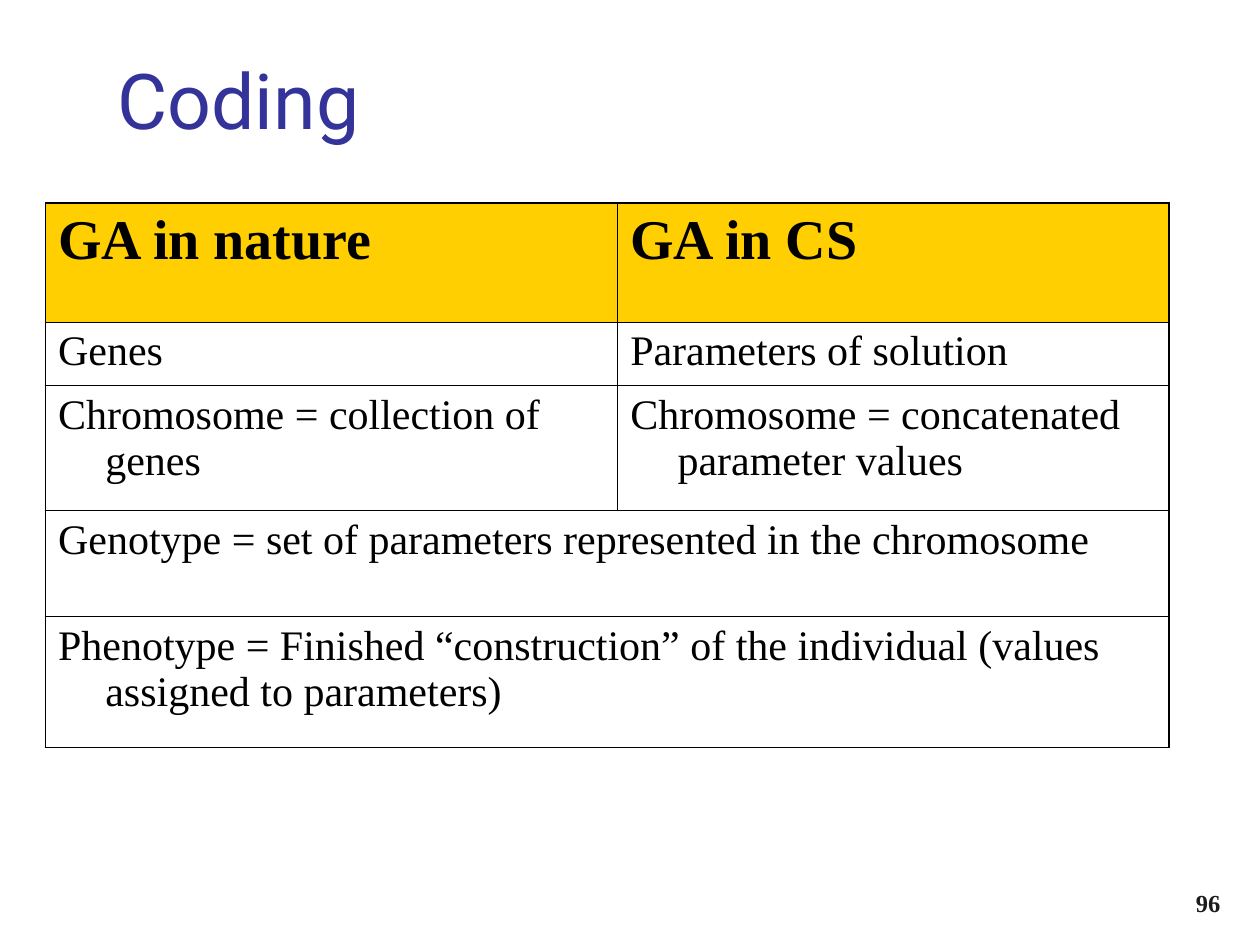
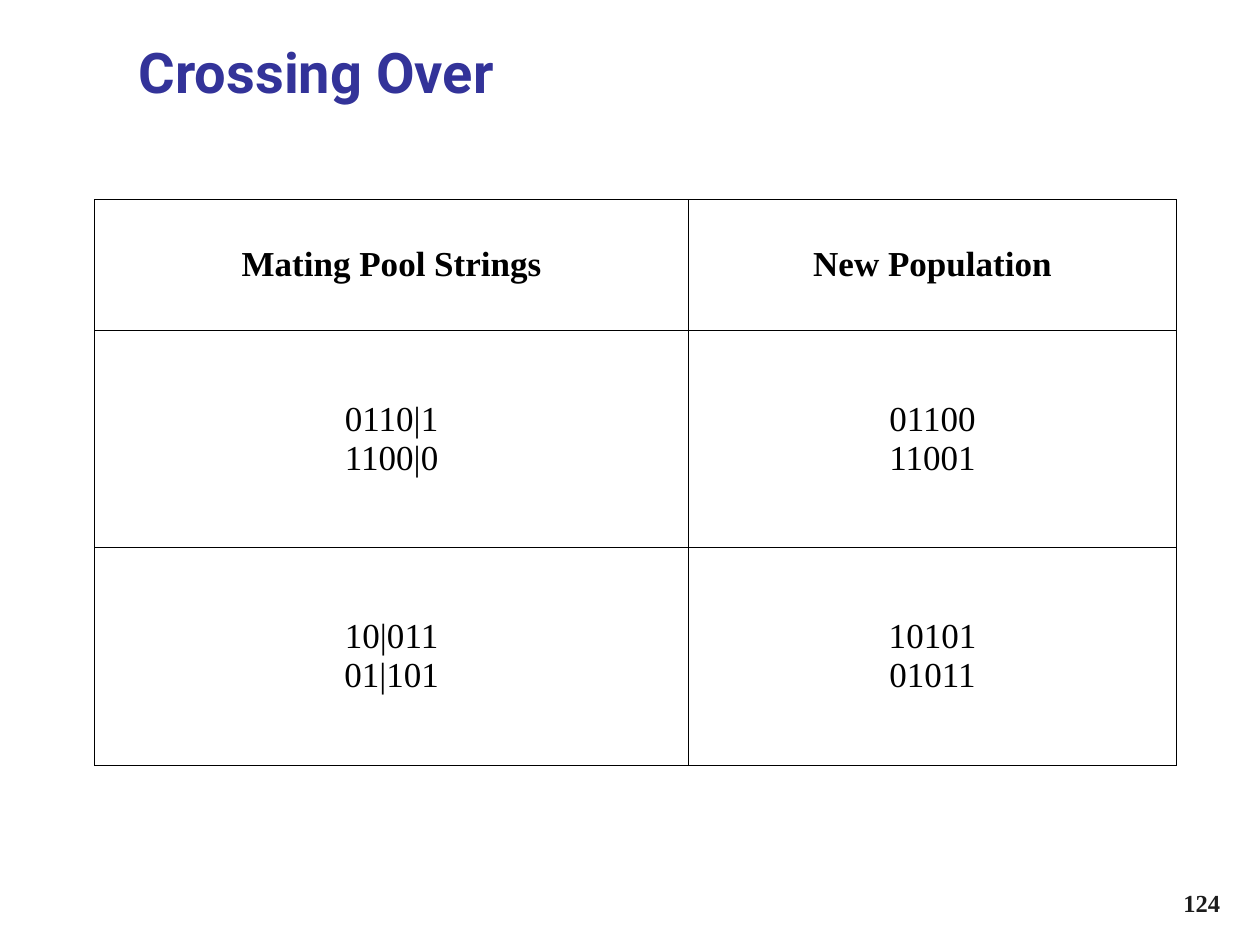
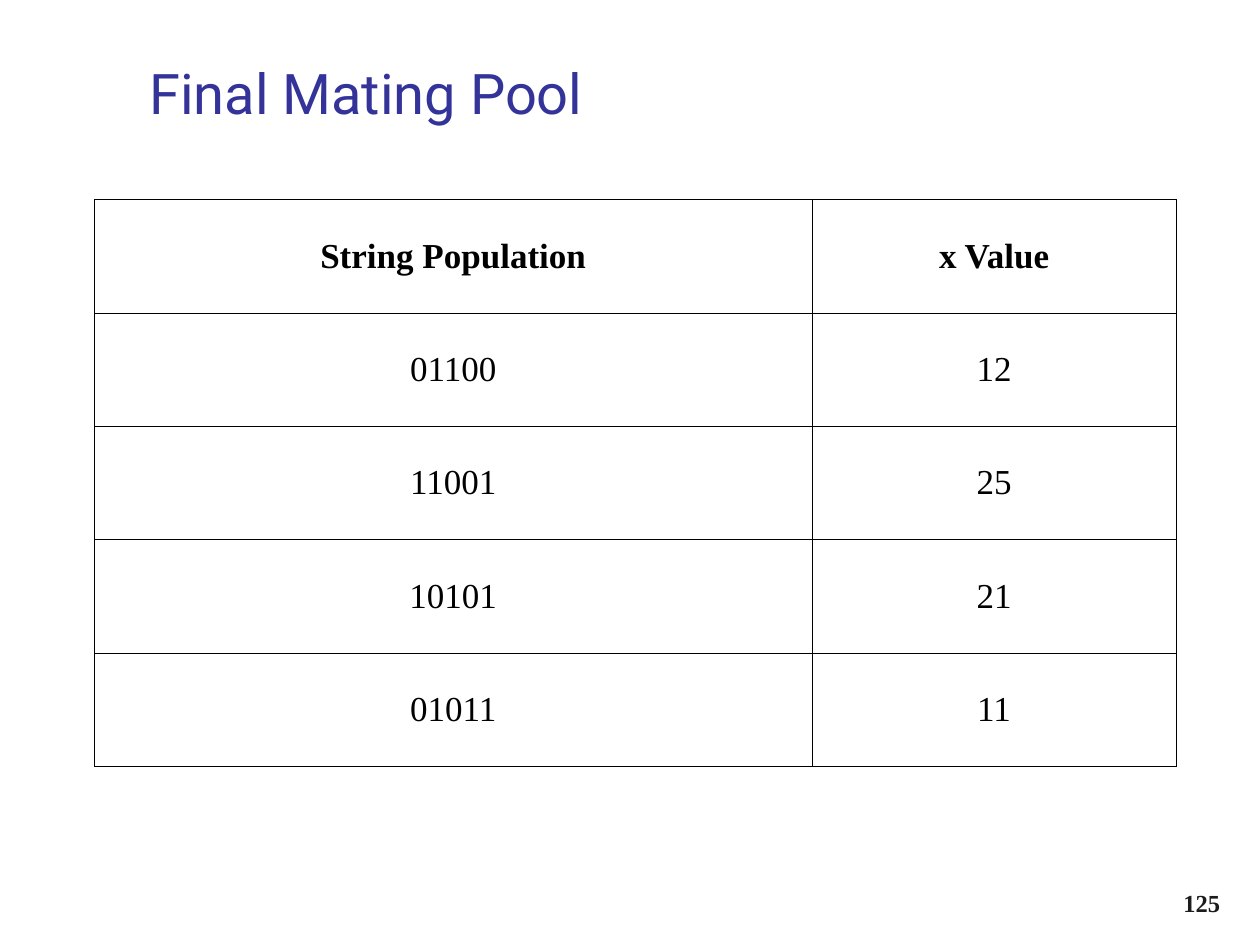
from lxml.etree import SubElement
from pptx import Presentation
from pptx.dml.color import RGBColor
from pptx.enum.text import MSO_ANCHOR, MSO_AUTO_SIZE, PP_ALIGN
from pptx.oxml.ns import qn
from pptx.util import Pt

INDIGO = RGBColor(0x33, 0x33, 0x99)
GOLD = RGBColor(0xFF, 0xCF, 0x01)
BLACK = RGBColor(0, 0, 0)
CHARCOAL = RGBColor(0x1C, 0x1C, 0x1C)
TITLE_FONT, BODY_FONT = "Roboto", "Times New Roman"
THIN, THICK = 0.45, 1.08
HANGING = 27

WIDE = dict(left=54, top=114, sizes=(20, 20), align=PP_ALIGN.CENTER,
            anchor=MSO_ANCHOR.MIDDLE, header_fill=None, frame=THIN)

SLIDES = [
    dict(
        number="96",
        title=dict(text="Coding", box=(60, 26.5, 624, 57), size=44, bold=False),
        table=dict(
            left=26, top=116, sizes=(32, 24), align=PP_ALIGN.LEFT,
            anchor=MSO_ANCHOR.TOP, header_fill=GOLD, frame=THICK,
            cols=(327, 315.2), heights=(68, 36.4, 71.4, 60.6, 74.8),
            rows=[
                ("GA in nature", "GA in CS"),
                ("Genes", "Parameters of solution"),
                ("Chromosome = collection of genes",
                 "Chromosome = concatenated parameter values"),
                ("Genotype = set of parameters represented in the chromosome",),
                ("Phenotype = Finished “construction” of the individual "
                 "(values assigned to parameters)",),
            ],
        ),
    ),
    dict(
        number="124",
        title=dict(text="Crossing Over", box=(72, 18, 612, 60), size=32, bold=True),
        table=dict(
            WIDE, cols=(339.6, 278.6), heights=(74.6, 124.4, 124.4),
            rows=[
                ("Mating Pool Strings", "New Population"),
                ("0110|1\n1100|0", "01100\n11001"),
                ("10|011\n01|101", "10101\n01011"),
            ],
        ),
    ),
    dict(
        number="125",
        title=dict(text="Final Mating Pool", box=(78, 30, 612, 60), size=32, bold=False),
        table=dict(
            WIDE, cols=(410, 208.2), heights=(64.8,) * 5,
            rows=[
                ("String Population", "x Value"),
                ("01100", "12"),
                ("11001", "25"),
                ("10101", "21"),
                ("01011", "11"),
            ],
        ),
    ),
]


def set_font(p, name, size, color, bold):
    p.font.name = name
    p.font.size = Pt(size)
    p.font.color.rgb = color
    p.font.bold = bold


def add_title(s, text, box, size, bold):
    sp = s.shapes.title
    sp.left, sp.top, sp.width, sp.height = map(Pt, box)
    tf = sp.text_frame
    tf.text = text
    tf.auto_size = MSO_AUTO_SIZE.NONE
    tf.vertical_anchor = MSO_ANCHOR.TOP
    p = tf.paragraphs[0]
    p.alignment = PP_ALIGN.LEFT
    set_font(p, TITLE_FONT, size, INDIGO, bold)


def add_number(s, number):
    tf = s.shapes.add_textbox(Pt(554.4), Pt(492), Pt(150), Pt(36)).text_frame
    tf.word_wrap = True
    tf.vertical_anchor = MSO_ANCHOR.BOTTOM
    p = tf.paragraphs[0]
    p.text = number
    p.alignment = PP_ALIGN.RIGHT
    set_font(p, BODY_FONT, 14, CHARCOAL, True)


def set_borders(cell, widths):
    tcPr = cell._tc.get_or_add_tcPr()
    for side, width in widths.items():
        ln = SubElement(tcPr, qn(f"a:ln{side}"), w=str(Pt(width)))
        SubElement(SubElement(ln, qn("a:solidFill")), qn("a:srgbClr"), val=str(BLACK))


def fill_cell(cell, text, size, bold, align, anchor):
    cell.vertical_anchor = anchor
    cell.text = text
    for p in cell.text_frame.paragraphs:
        pPr = p._p.get_or_add_pPr()
        pPr.set("marL", str(Pt(HANGING)))
        pPr.set("indent", str(-Pt(HANGING)))
        p.alignment = align
        set_font(p, BODY_FONT, size, BLACK, bold)


def add_grid(s, left, top, cols, heights, rows, sizes, align, anchor, header_fill, frame):
    table = s.shapes.add_table(len(rows), len(cols), Pt(left), Pt(top),
                               Pt(sum(cols)), Pt(sum(heights))).table
    table.first_row = table.horz_banding = False
    for column, width in zip(table.columns, cols):
        column.width = Pt(width)
    for i, (texts, height) in enumerate(zip(rows, heights)):
        table.rows[i].height = Pt(height)
        header = i == 0
        merged = len(texts) < len(cols)
        if merged:
            table.cell(i, 0).merge(table.cell(i, len(cols) - 1))
        for j in range(len(cols)):
            cell = table.cell(i, j)
            widths = dict(
                L=frame if j == 0 else THIN,
                R=frame if merged or j == len(cols) - 1 else THIN,
                T=frame if header else THIN,
                B=frame if i == len(rows) - 1 else THIN,
            )
            if cell.is_spanned:
                del widths["L"]
            set_borders(cell, widths)
            if header and header_fill:
                cell.fill.solid()
                cell.fill.fore_color.rgb = header_fill
            else:
                cell.fill.background()
            if not cell.is_spanned:
                fill_cell(cell, texts[j], sizes[0 if header else 1], header, align, anchor)


def main():
    prs = Presentation()
    prs.slide_width, prs.slide_height = Pt(720), Pt(540)
    for content in SLIDES:
        s = prs.slides.add_slide(prs.slide_layouts[5])
        add_number(s, content["number"])
        add_title(s, **content["title"])
        add_grid(s, **content["table"])
    prs.save("out.pptx")


if __name__ == "__main__":
    main()
